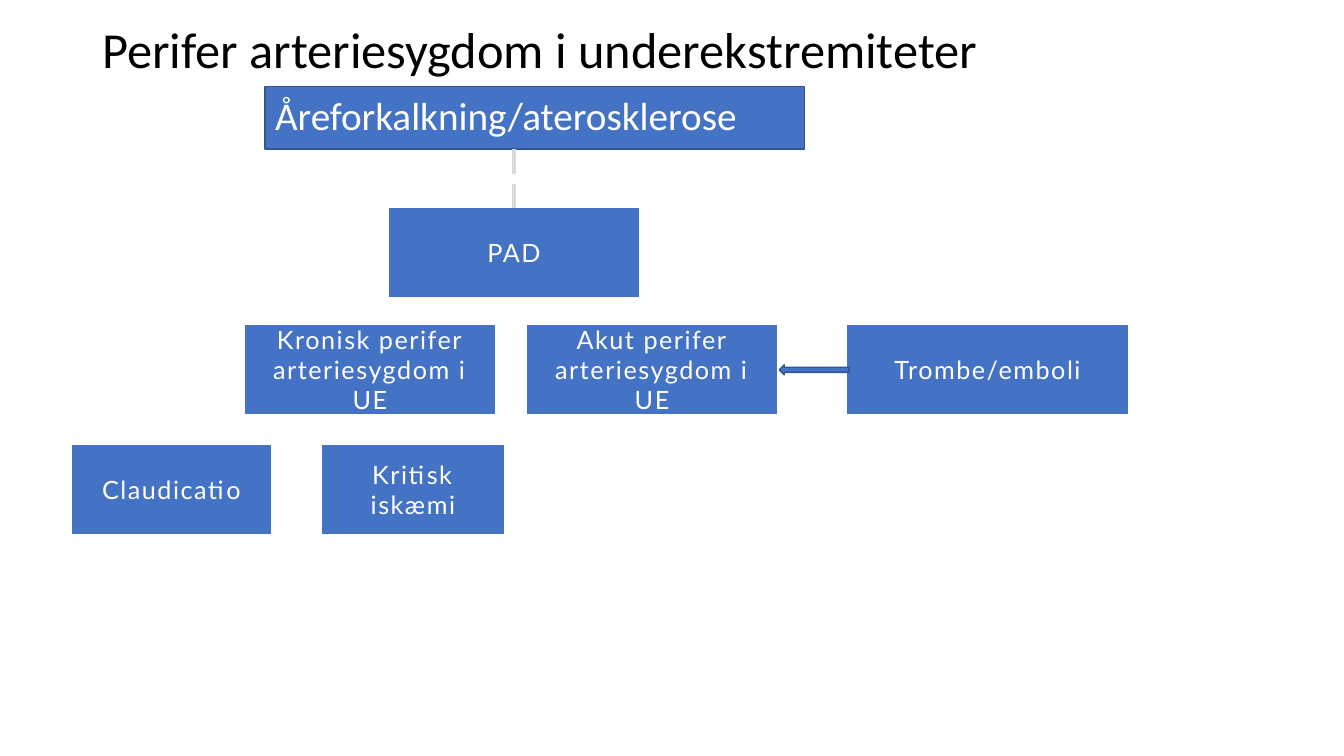
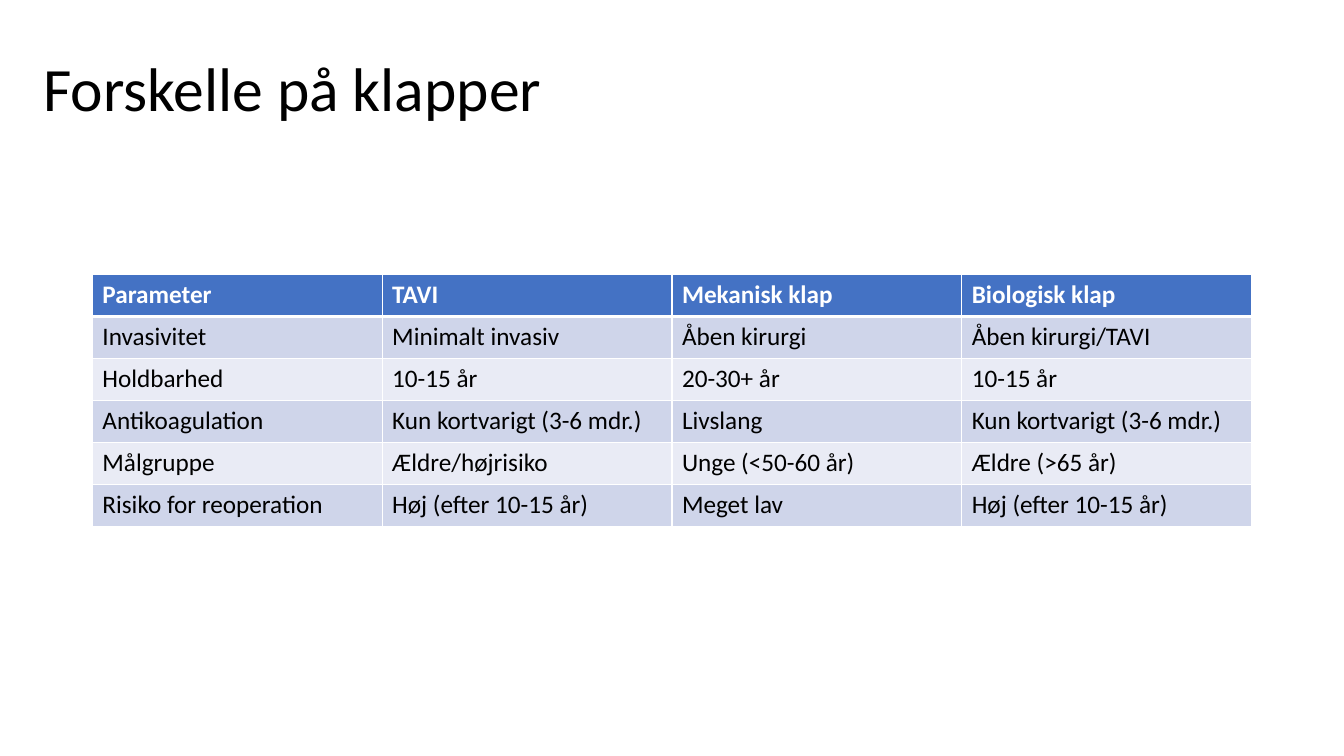
from dataclasses import dataclass
from typing import Any

import pptx
import pptx.dml.color
import pptx.enum.shapes
import pptx.enum.text
import pptx.oxml
import pptx.oxml.ns
import pptx.util

Pt = pptx.util.Pt
SHAPE = pptx.enum.shapes.MSO_SHAPE
ANCHOR = pptx.enum.text.MSO_ANCHOR
ALIGN = pptx.enum.text.PP_ALIGN

COLORS = {
    "blue": "4472C4",
    "outline": "325491",
    "dash": "D9D9D9",
    "band_dark": "CFD5EA",
    "band_light": "E9EBF5",
    "white": "FFFFFF",
    "black": "000000",
}
BODY_FONT = "Calibri"
BOX_FONT = "Lato"
BOX_HEIGHT = 64.1
PAD_TOP, TYPE_TOP, STAGE_TOP = 148.3, 231.8, 317.5


@dataclass
class Box:
    text: str
    left: float
    top: float
    width: float


PAD = Box("PAD", 277.9, PAD_TOP, 178.5)
BOXES = [
    Box("Kronisk perifer arteriesygdom i UE", 175, TYPE_TOP, 178.5),
    Box("Akut perifer arteriesygdom i UE", 376.5, TYPE_TOP, 178.5),
    Box("Trombe/emboli", 605.2, TYPE_TOP, 200.5),
    Box("Claudicatio", 51.4, STAGE_TOP, 142.2),
    Box("Kritisk iskæmi", 230, STAGE_TOP, 130),
]

VALVES = [
    ("Parameter", "TAVI", "Mekanisk klap", "Biologisk klap"),
    ("Invasivitet", "Minimalt invasiv", "Åben kirurgi", "Åben kirurgi/TAVI"),
    ("Holdbarhed", "10-15 år", "20-30+ år", "10-15 år"),
    ("Antikoagulation", "Kun kortvarigt (3-6 mdr.)", "Livslang", "Kun kortvarigt (3-6 mdr.)"),
    ("Målgruppe", "Ældre/højrisiko", "Unge (<50-60 år)", "Ældre (>65 år)"),
    ("Risiko for reoperation", "Høj (efter 10-15 år)", "Meget lav", "Høj (efter 10-15 år)"),
]


def rgb(name: str) -> pptx.dml.color.RGBColor:
    return pptx.dml.color.RGBColor.from_string(COLORS[name])


def write(tf: Any, text: str, size: float, color: str, font: str = BODY_FONT,
          bold: bool = False) -> Any:
    """Fill the first paragraph of a text frame and return it."""
    p = tf.paragraphs[0]
    p.add_run().text = text
    p.font.size = Pt(size)
    p.font.name = font
    p.font.bold = bold
    p.font.color.rgb = rgb(color)
    return p


def add_title(s: Any, text: str, left: float, top: float, height: float, size: float) -> None:
    tf = s.shapes.add_textbox(Pt(left), Pt(top), Pt(828), Pt(height)).text_frame
    tf.word_wrap = True
    tf.vertical_anchor = ANCHOR.MIDDLE
    write(tf, text, size, "black").line_spacing = 0.9


def add_blue_shape(s: Any, kind: Any, left: float, top: float, width: float, height: float,
                   outlined: bool = False) -> Any:
    sp = s.shapes.add_shape(kind, Pt(left), Pt(top), Pt(width), Pt(height))
    sp.shadow.inherit = False
    sp.fill.solid()
    sp.fill.fore_color.rgb = rgb("blue")
    if outlined:
        sp.line.color.rgb = rgb("outline")
        sp.line.width = Pt(1)
    else:
        sp.line.fill.background()
    return sp


def add_box(s: Any, box: Box) -> Any:
    sp = add_blue_shape(s, SHAPE.FLOWCHART_PROCESS, box.left, box.top, box.width, BOX_HEIGHT)
    tf = sp.text_frame
    tf.word_wrap = True
    tf.vertical_anchor = ANCHOR.MIDDLE
    p = write(tf, box.text, 18, "white", BOX_FONT)
    p.alignment = ALIGN.CENTER
    p.runs[0]._r.get_or_add_rPr().set("spc", "110")
    return sp


def add_dashed_line(s: Any, x: float, top: float, target: Any) -> None:
    """Draw a dashed line from (x, top) down to the top of the target."""
    line = s.shapes.add_connector(pptx.enum.shapes.MSO_CONNECTOR.STRAIGHT,
                                  Pt(x), Pt(top), Pt(x), target.top)
    line.end_connect(target, 0)
    line.line.color.rgb = rgb("dash")
    line.line.width = Pt(2.25)
    line.line.dash_style = pptx.enum.dml.MSO_LINE.LONG_DASH
    line._element.spPr.append(pptx.oxml.parse_xml(
        f"<a:effectLst {pptx.oxml.ns.nsdecls('a')}/>"))


def set_borders(cell: Any, top: float, bottom: float) -> None:
    tc_pr = cell._tc.get_or_add_tcPr()
    for side, width in (("L", 1), ("R", 1), ("T", top), ("B", bottom)):
        tc_pr.append(pptx.oxml.parse_xml(
            f'<a:ln{side} {pptx.oxml.ns.nsdecls("a")} w="{Pt(width)}"><a:solidFill>'
            f'<a:srgbClr val="{COLORS["white"]}"/></a:solidFill></a:ln{side}>'))


def add_valve_table(s: Any) -> None:
    rows, cols = len(VALVES), len(VALVES[0])
    table = s.shapes.add_table(rows, cols, Pt(66), Pt(196), Pt(207 * cols), Pt(30 * rows)).table
    for i, row in enumerate(VALVES):
        header = i == 0
        fill = "blue" if header else "band_dark" if i % 2 else "band_light"
        for j, text in enumerate(row):
            cell = table.cell(i, j)
            set_borders(cell, top=3 if i == 1 else 1, bottom=3 if header else 1)
            cell.fill.solid()
            cell.fill.fore_color.rgb = rgb(fill)
            write(cell.text_frame, text, 18, "white" if header else "black", bold=header)


def build_artery_slide(s: Any) -> None:
    heading = add_blue_shape(s, SHAPE.RECTANGLE, 189.4, 62, 385.2, 44.6, outlined=True)
    heading.text_frame.vertical_anchor = ANCHOR.TOP
    p = write(heading.text_frame, "Åreforkalkning/aterosklerose", 28, "white")
    p.alignment = ALIGN.LEFT
    add_title(s, "Perifer arteriesygdom i underekstremiteter", 66, 9.5, 55.4, 36)
    pad = add_box(s, PAD)
    add_dashed_line(s, PAD.left + PAD.width / 2, 106.6, pad)
    for box in BOXES:
        add_box(s, box)
    add_blue_shape(s, SHAPE.LEFT_ARROW, 556.6, 260.6, 49.7, 7.2, outlined=True)


def build_valve_slide(s: Any) -> None:
    add_title(s, "Forskelle på klapper", 23.8, 13, 104.4, 44)
    add_valve_table(s)


def main() -> None:
    prs = pptx.Presentation()
    prs.slide_width, prs.slide_height = Pt(960), Pt(540)
    for build in (build_artery_slide, build_valve_slide):
        build(prs.slides.add_slide(prs.slide_layouts[6]))
    prs.save("out.pptx")


if __name__ == "__main__":
    main()
